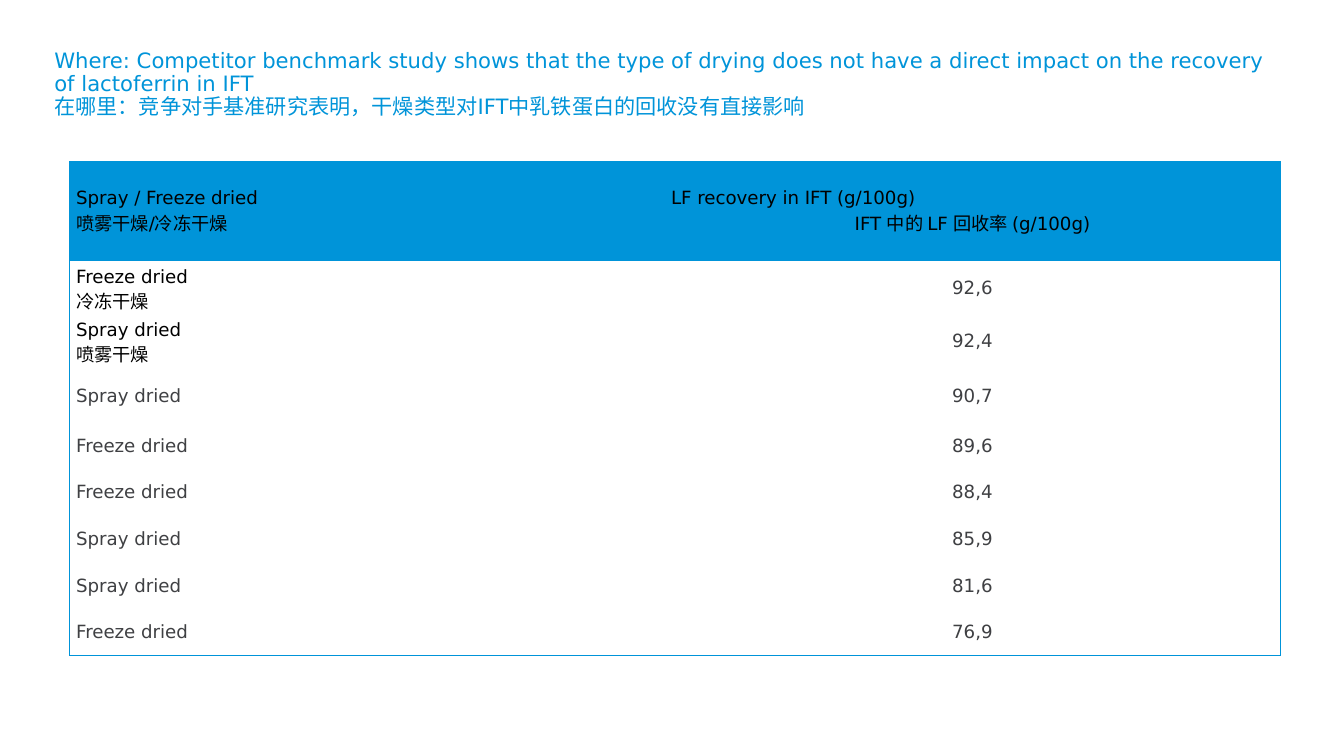
from pptx import Presentation
from pptx.dml.color import RGBColor
from pptx.enum.text import MSO_ANCHOR, PP_ALIGN
from pptx.oxml.ns import qn
from pptx.util import Cm, Pt
from lxml import etree

MIDDLE = MSO_ANCHOR.MIDDLE
LEFT, CENTER = PP_ALIGN.LEFT, PP_ALIGN.CENTER
BLUE, BLACK, GREY = "0094D9", "000000", "3F4043"
FONT = "DejaVu Sans"


def write_lines(frame, lines, size, spacing=None):
    """Fill a text frame with one paragraph per (text, colour, alignment)."""
    for number, (text, colour, alignment) in enumerate(lines):
        paragraph = frame.paragraphs[0] if number == 0 else frame.add_paragraph()
        paragraph.alignment = alignment
        paragraph.line_spacing = spacing
        run = paragraph.add_run()
        run.text = text
        run.font.name = FONT
        run.font.size = Pt(size)
        run.font.color.rgb = RGBColor.from_string(colour)


def set_border(cell, side, colour):
    """Draw one side (L, R, T or B) of a cell, or clear it if colour is None."""
    line = etree.SubElement(cell._tc.get_or_add_tcPr(), qn(f"a:ln{side}"), w=str(Pt(0.96)))
    if colour:
        fill = etree.SubElement(line, qn("a:solidFill"))
        etree.SubElement(fill, qn("a:srgbClr"), val=colour)
    else:
        etree.SubElement(line, qn("a:noFill"))


prs = Presentation()
prs.slide_width, prs.slide_height = Cm(33.87), Cm(19.05)
slide = prs.slides.add_slide(prs.slide_layouts[6])

# Title
title = slide.shapes.add_textbox(Cm(1.27), Cm(1.2), Cm(31.24), Cm(1.88)).text_frame
title_format = {
    "word_wrap": True,
    "vertical_anchor": MIDDLE,
    "margin_left": Cm(0.1),
    "margin_right": Cm(0.1),
    "margin_top": Cm(0.08),
    "margin_bottom": Cm(0.08),
}
for name, value in title_format.items():
    setattr(title, name, value)
write_lines(title, [
    ("Where: Competitor benchmark study shows that the type of drying does not have "
     "a direct impact on the recovery of lactoferrin in IFT", BLUE, LEFT),
    ("在哪里：竞争对手基准研究表明，干燥类型对IFT中乳铁蛋白的回收没有直接影响", BLUE, LEFT),
], 15.1, 0.9)

# Recovery by drying type: row height in cm, drying type, recovery
header = (
    [("Spray / Freeze dried", BLACK, LEFT), ("喷雾干燥/冷冻干燥", BLACK, LEFT)],
    [("LF recovery in IFT (g/100g)", BLACK, LEFT), ("IFT 中的 LF 回收率 (g/100g)", BLACK, CENTER)],
)
samples = [
    (1.17, "Freeze dried", "92,6"),
    (1.17, "Spray dried", "92,4"),
    (1.4, "Spray dried", "90,7"),
    (1.12, "Freeze dried", "89,6"),
    (1.22, "Freeze dried", "88,4"),
    (1.17, "Spray dried", "85,9"),
    (1.17, "Spray dried", "81,6"),
    (1.17, "Freeze dried", "76,9"),
]
translations = ["冷冻干燥", "喷雾干燥"]

rows = [(2.51, *header)]
for number, (height, drying, recovery) in enumerate(samples):
    if number < len(translations):
        drying_lines = [(drying, BLACK, LEFT), (translations[number], BLACK, LEFT)]
    else:
        drying_lines = [(drying, GREY, LEFT)]
    rows.append((height, drying_lines, [(recovery, GREY, CENTER)]))

table = slide.shapes.add_table(len(rows), 2, Cm(1.76), Cm(4.08), Cm(30.5), Cm(12.1)).table
table.first_row = table.horz_banding = False
table.columns[0].width, table.columns[1].width = Cm(14.99), Cm(15.51)
cell_format = {
    "vertical_anchor": MIDDLE,
    "margin_left": Cm(0.16),
    "margin_right": Cm(0.16),
    "margin_top": Cm(0.12),
    "margin_bottom": Cm(0.12),
}

for row, (height, *row_cells) in enumerate(rows):
    table.rows[row].height = Cm(height)
    for column, lines in enumerate(row_cells):
        cell = table.cell(row, column)
        for name, value in cell_format.items():
            setattr(cell, name, value)
        outer_sides = {
            "L": column == 0,
            "R": column == 1,
            "T": row == 0,
            "B": row == len(rows) - 1,
        }
        for side, is_outer in outer_sides.items():
            set_border(cell, side, BLUE if is_outer else None)
        if row == 0:
            cell.fill.solid()
            cell.fill.fore_color.rgb = RGBColor.from_string(BLUE)
        else:
            cell.fill.background()
        write_lines(cell.text_frame, lines, 13)

prs.save("out.pptx")
